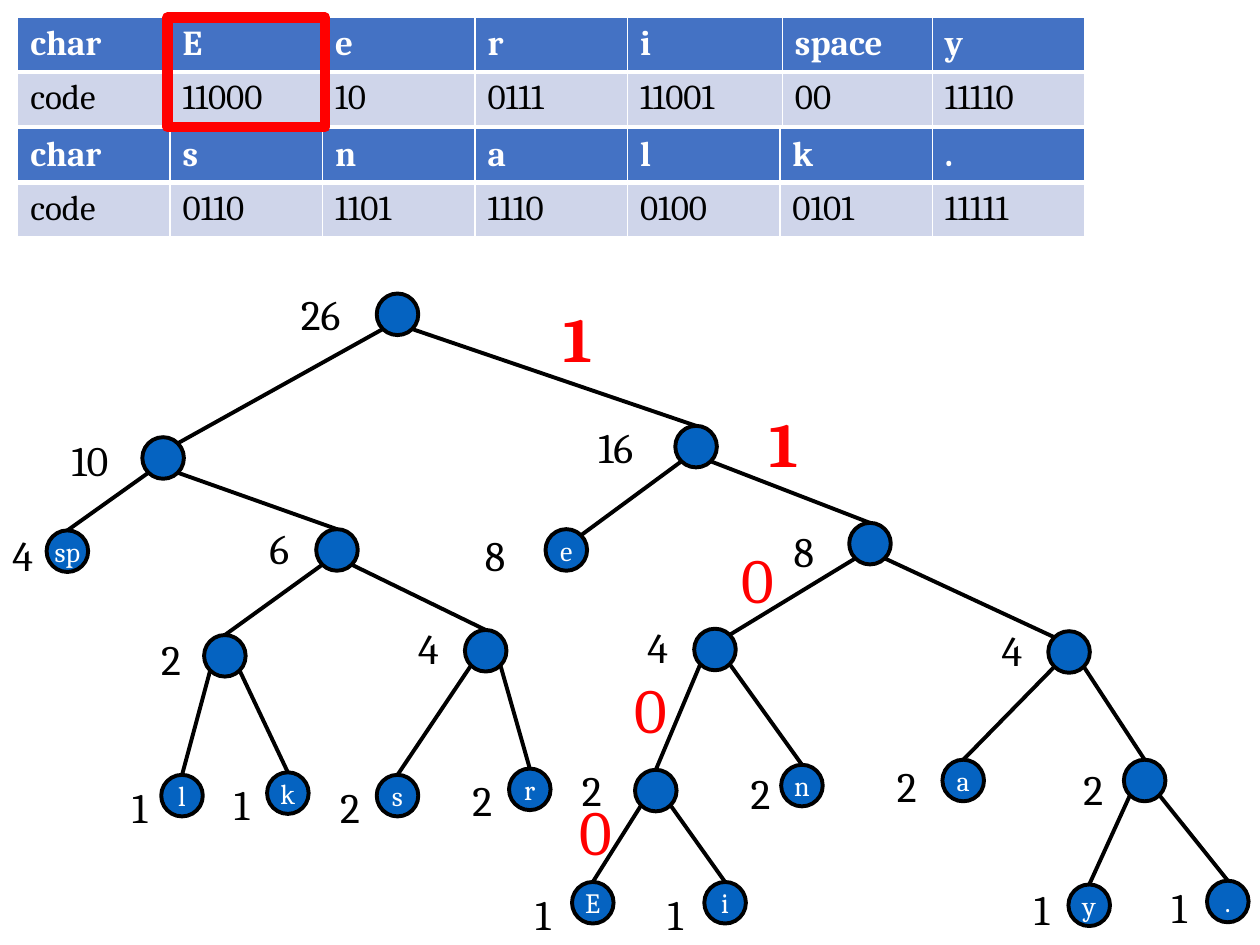
from lxml import etree
from pptx import Presentation
from pptx.dml.color import RGBColor
from pptx.enum.shapes import MSO_CONNECTOR, MSO_SHAPE
from pptx.enum.text import MSO_ANCHOR, MSO_AUTO_SIZE, PP_ALIGN
from pptx.oxml.ns import qn
from pptx.util import Inches, Pt

LINE, RECT, OVAL = MSO_CONNECTOR.STRAIGHT, MSO_SHAPE.RECTANGLE, MSO_SHAPE.OVAL
MIDDLE, CENTER = MSO_ANCHOR.MIDDLE, PP_ALIGN.CENTER
GROW = MSO_AUTO_SIZE.SHAPE_TO_FIT_TEXT
BLUE, HEAD, BAND = "0563C1", "4472C4", "CFD5EA"
RED, BLACK, WHITE = "FF0000", "000000", "FFFFFF"
SIZE = 0.33  # node diameter

# Code tables: top, column widths, rows
COL = 1.21
TABLES = [
    (0.14, [COL] * 4 + [1.23, 1.19, COL],
     [["char", "E", "e", "r", "i", "space", "y"],
      ["code", "11000", "10", "0111", "11001", "00", "11110"]]),
    (1.02, [COL] * 7,
     [["char", "s", "n", "a", "l", "k", "."],
      ["code", "0110", "1101", "1110", "0100", "0101", "11111"]]),
]

# Bits on the way to "E": text, left, top
BITS = [("1", 4.37, 2.33), ("1", 6.01, 3.16), ("0", 5.79, 4.24),
        ("0", 4.94, 5.27), ("0", 4.5, 6.24)]

# Tree, keyed by code: node left and top, weight, weight's left and top, letter
TREE = {
    "": (2.99, 2.33, 26, 2.29, 2.24, ""),
    "0": (1.13, 3.47, 10, 0.47, 3.4, ""),
    "1": (5.36, 3.38, 16, 4.65, 3.3, ""),
    "00": (0.37, 4.21, 4, 0, 4.15, "sp"),
    "01": (2.51, 4.2, 6, 2.04, 4.1, ""),
    "10": (4.33, 4.2, 8, 3.75, 4.15, "e"),
    "11": (6.74, 4.15, 8, 6.2, 4.12, ""),
    "010": (1.62, 5.04, 2, 1.18, 4.98, ""),
    "011": (3.69, 5, 4, 3.22, 4.89, ""),
    "110": (5.51, 4.99, 4, 5.04, 4.88, ""),
    "111": (8.32, 5.01, 4, 7.85, 4.91, ""),
    "0100": (1.28, 6.15, 1, 0.95, 6.15, "l"),
    "0101": (2.12, 6.13, 1, 1.76, 6.13, "k"),
    "0110": (2.99, 6.15, 2, 2.6, 6.15, "s"),
    "0111": (4.04, 6.1, 2, 3.65, 6.1, "r"),
    "1100": (5.04, 6.11, 2, 4.52, 6.02, ""),
    "1101": (6.2, 6.07, 2, 5.86, 6.04, "n"),
    "1110": (7.48, 6.03, 2, 7.02, 5.99, "a"),
    "1111": (8.92, 6.03, 2, 8.5, 6.01, ""),
    "11000": (4.54, 7, 1, 4.15, 7, "E"),
    "11001": (5.59, 7, 1, 5.2, 7, "i"),
    "11110": (8.48, 7.02, 1, 8.11, 6.96, "y"),
    "11111": (9.58, 6.99, 1, 9.2, 6.95, "."),
}
# Nodes whose edge meets the rim at a corner; all others meet it on top
CORNER = {"0": 1, "10": 1, "110": 1, "111": -1}


def color(code):
    return RGBColor.from_string(code)


def write(frame, text, size, code, bold=False):
    run = frame.paragraphs[0].add_run()
    run.text = text
    look = {"name": "Cambria", "size": Pt(size), "bold": bold}
    for key, value in look.items():
        setattr(run.font, key, value)
    run.font.color.rgb = color(code)


def label(text, x, y, w, h, size, code, bold=False):
    frame = slide.shapes.add_textbox(*map(Inches, (x, y, w, h))).text_frame
    frame.word_wrap = False
    frame.auto_size = GROW
    write(frame, text, size, code, bold)


def shape(kind, x, y, w, h, line, width, fill=None):
    item = slide.shapes.add_shape(kind, *map(Inches, (x, y, w, h)))
    item.shadow.inherit = False
    item.line.color.rgb = color(line)
    item.line.width = Pt(width)
    if fill:
        item.fill.solid()
        item.fill.fore_color.rgb = color(fill)
    else:
        item.fill.background()
    return item


def border(cell, widths):
    props = cell._tc.get_or_add_tcPr()
    for side, width in zip("LRTB", widths):
        edge = etree.SubElement(props, qn(f"a:ln{side}"), w=str(Pt(width)))
        fill = etree.SubElement(edge, qn("a:solidFill"))
        etree.SubElement(fill, qn("a:srgbClr"), val=WHITE)


def table(top, cols, rows):
    height = 0.43
    grid = slide.shapes.add_table(
        len(rows), len(cols), *map(Inches, (0.14, top, sum(cols), height * 2))).table
    for col, width in zip(grid.columns, cols):
        col.width = Inches(width)
    for r, row in enumerate(rows):
        fill, ink = ((HEAD, WHITE), (BAND, BLACK))[r]
        for c, text in enumerate(row):
            cell = grid.cell(r, c)
            border(cell, (1, 1, 3, 1) if r else (1, 1, 1, 3))
            cell.fill.solid()
            cell.fill.fore_color.rgb = color(fill)
            write(cell.text_frame, text, 20, ink, r == 0)


def rim(code, dx, dy):
    """Point on a node's rim; dx and dy are -1, 0 or 1."""
    x, y = TREE[code][:2]
    reach = SIZE / 2 * (0.71 if dx and dy else 1)
    return x + SIZE / 2 + dx * reach, y + SIZE / 2 + dy * reach


def edge(code):
    side = -1 if code[-1] == "0" else 1
    start = rim(code[:-1], side, 1)
    end = rim(code, CORNER.get(code, 0), -1)
    line = slide.shapes.add_connector(LINE, *map(Inches, start + end))
    line.line.color.rgb = color(BLACK)
    line.line.width = Pt(2.25)
    etree.SubElement(line._element.spPr, qn("a:effectLst"))


def node(code):
    x, y, weight, left, top, letter = TREE[code]
    ball = shape(OVAL, x, y, SIZE, SIZE, BLACK, 2.25, BLUE)
    if letter:
        frame = ball.text_frame
        frame.word_wrap = False
        frame.vertical_anchor = MIDDLE
        frame.paragraphs[0].alignment = CENTER
        write(frame, letter, 16, WHITE)
    label(str(weight), left, top, 0.57 if weight > 9 else 0.39, 0.5, 24, BLACK)


deck = Presentation()
deck.slide_width, deck.slide_height = Inches(10), Inches(7.5)
slide = deck.slides.add_slide(deck.slide_layouts[6])

# Tables, bits and the frame round "E"
for top, cols, rows in TABLES:
    table(top, cols, rows)
for bit, x, y in BITS:
    label(bit, x, y, 0.48, 0.71, 36, RED, bit == "1")
shape(RECT, 1.33, 0.14, 1.25, 0.87, RED, 6)

# Tree
for code in TREE:
    node(code)
    if code:
        edge(code)

deck.save("out.pptx")
